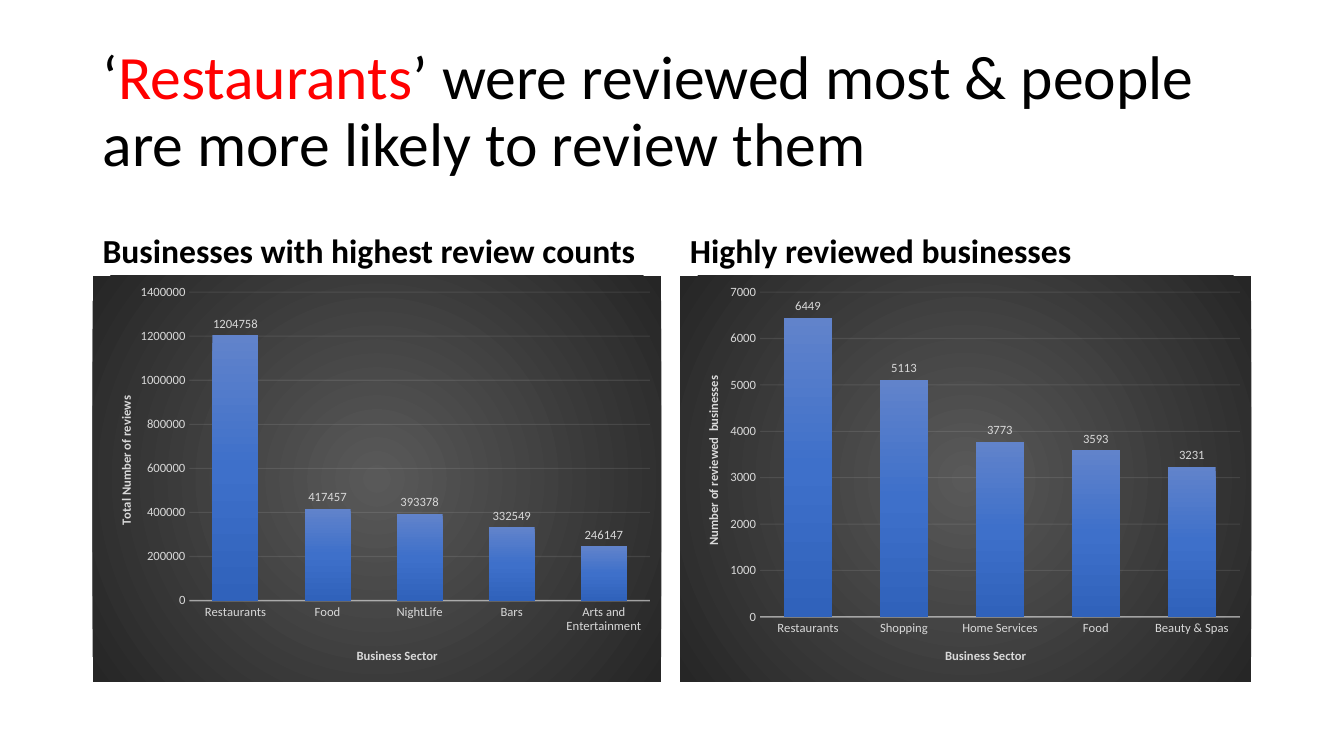
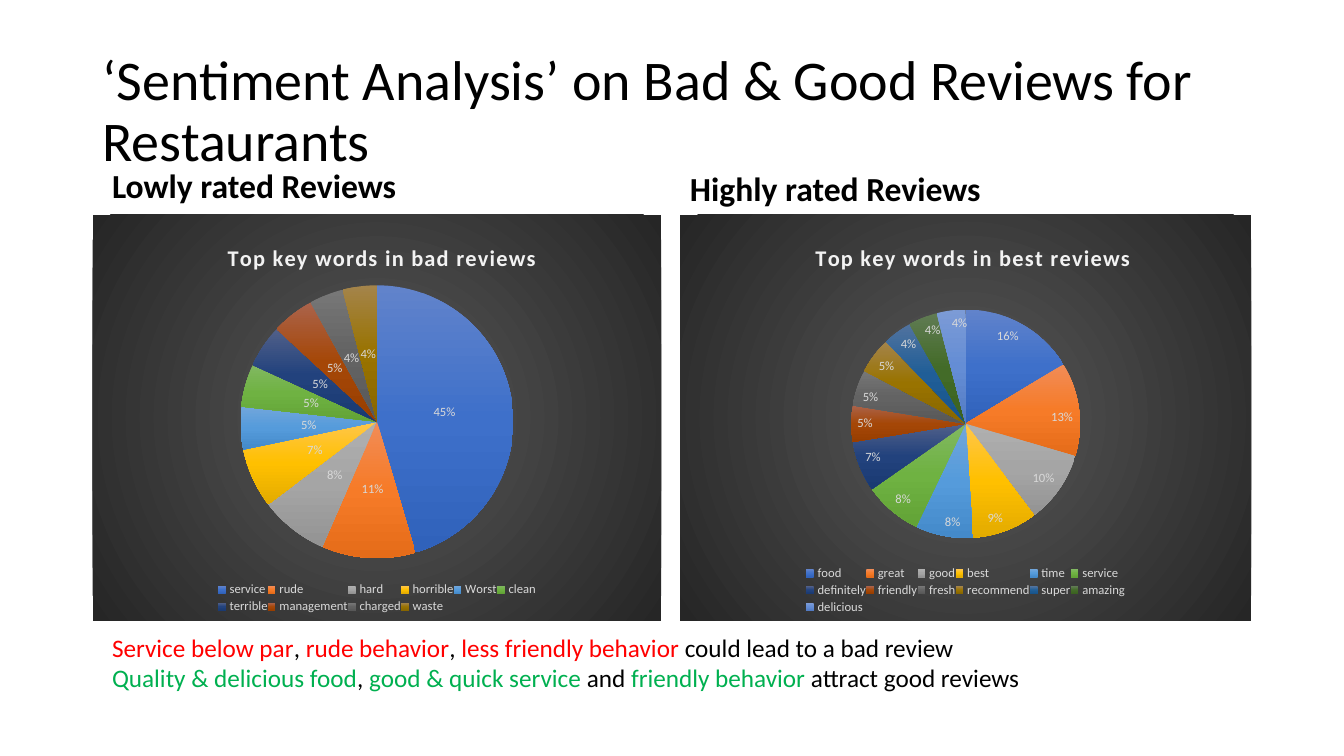
from dataclasses import dataclass

from lxml import etree
from pptx import Presentation
from pptx.chart.data import CategoryChartData
from pptx.dml.color import RGBColor
from pptx.enum.chart import XL_CHART_TYPE, XL_LABEL_POSITION, XL_LEGEND_POSITION, XL_TICK_MARK
from pptx.enum.text import MSO_ANCHOR
from pptx.oxml.ns import qn
from pptx.util import Inches, Pt

COLUMN, PIE = XL_CHART_TYPE.COLUMN_CLUSTERED, XL_CHART_TYPE.PIE
CENTER, INSIDE_END, OUTSIDE_END = XL_LABEL_POSITION.CENTER, XL_LABEL_POSITION.INSIDE_END, XL_LABEL_POSITION.OUTSIDE_END
LEGEND_BOTTOM, NO_TICK = XL_LEGEND_POSITION.BOTTOM, XL_TICK_MARK.NONE
TOP, MIDDLE, BOTTOM = MSO_ANCHOR.TOP, MSO_ANCHOR.MIDDLE, MSO_ANCHOR.BOTTOM


@dataclass(frozen=True)
class Theme:
    font: str = "Calibri"
    ink: str = "000000"
    bad: str = "FF0000"
    good: str = "00B050"
    chart_text: str = "D9D9D9"
    chart_line: str = "F2F2F2"
    heading_size: int = 24
    note_size: int = 18
    chart_title_size: int = 16
    chart_size: int = 9
    panel: tuple = ("595959", "262626")
    sectors: tuple = (
        ("6183CB", "3E70CA", "3062BB"),
        ("F18C57", "F67B28", "E56C19"),
        ("AFAFAF", "A5A5A5", "939393"),
        ("FFC64B", "FFC000", "E3AB00"),
        ("71A6DB", "559BDB", "448ACA"),
        ("81B861", "6FB242", "62A336"),
        ("516089", "22427D", "1A3A72"),
        ("AB634B", "A54707", "983E00"),
        ("777777", "636363", "585858"),
        ("A4844B", "997300", "886600"),
        ("51739F", "205E97", "17548B"),
        ("607B53", "436B28", "3B6220"),
        ("7C9BD6", "648DD5", "537BC3"),
    )


THEME = Theme()
CHART_FORMAT = {"name": THEME.font, "size": Pt(THEME.chart_size), "bold": False}
AXIS_TITLE_FORMAT = CHART_FORMAT | {"bold": True}
CHART_TITLE_FORMAT = AXIS_TITLE_FORMAT | {"size": Pt(THEME.chart_title_size)}

LEFT, RIGHT, INDENT = 6.9, 50.6, 7.6
LEFT_WIDTH, RIGHT_WIDTH, FULL_WIDTH = 42.3, 42.5, 86.3
TITLE_TOP, TITLE_HEIGHT, HEADING_HEIGHT, CHART_HEIGHT = 5.3, 19.3, 12, 53.7

SLIDES = [
    {
        "title": [("‘", THEME.ink), ("Restaurants", THEME.bad),
                  ("’ were reviewed most & people are more likely to review them", THEME.ink)],
        "title_size": 44,
        "chart_top": 36.5,
        "note": [],
        "panels": [
            {"heading": "Businesses with highest review counts", "heading_at": (LEFT, 24.5),
             "left": LEFT, "width": LEFT_WIDTH, "kind": COLUMN, "labels": OUTSIDE_END,
             "values": {"Restaurants": 1204758, "Food": 417457, "NightLife": 393378,
                        "Bars": 332549, "Arts and Entertainment": 246147},
             "measure": "Total Number of reviews", "step": 200000, "top": 1400000,
             "plot_box": (0.17, 0.04, 0.81, 0.76), "measure_box": (0.04, 0.29)},
            {"heading": "Highly reviewed businesses", "heading_at": (RIGHT, 24.5),
             "left": RIGHT, "width": RIGHT_WIDTH, "kind": COLUMN, "labels": OUTSIDE_END,
             "values": {"Restaurants": 6449, "Shopping": 5113, "Home Services": 3773,
                        "Food": 3593, "Beauty & Spas": 3231},
             "measure": "Number of reviewed  businesses", "step": 1000, "top": 7000,
             "plot_box": (0.14, 0.04, 0.84, 0.8), "measure_box": (0.04, 0.24)},
        ],
    },
    {
        "title": [("‘Sentiment Analysis’ on Bad & Good Reviews for Restaurants", THEME.ink)],
        "title_size": 40,
        "chart_top": 28.4,
        "note": [
            [("Service below par", THEME.bad), (", ", THEME.ink), ("rude behavior", THEME.bad),
             (", ", THEME.ink), ("less friendly behavior", THEME.bad),
             (" could lead to a bad review", THEME.ink)],
            [("Quality & delicious food", THEME.good), (", ", THEME.ink),
             ("good & quick service ", THEME.good), ("and ", THEME.ink),
             ("friendly behavior ", THEME.good), ("attract good reviews", THEME.ink)],
        ],
        "panels": [
            {"heading": "Lowly rated Reviews", "heading_at": (INDENT, 15.9),
             "left": LEFT, "width": LEFT_WIDTH, "kind": PIE, "labels": CENTER,
             "values": {"service": 45, "rude": 11, "hard": 8, "horrible": 7, "Worst": 5,
                        "clean": 5, "terrible": 5, "management": 5, "charged": 4, "waste": 4},
             "chart_title": "Top key words in bad reviews",
             "plot_box": (0.26, 0.17, 0.48, 0.68), "legend_box": (0.22, 0.9, 0.56, 0.09)},
            {"heading": "Highly rated Reviews", "heading_at": (RIGHT, 16.3),
             "left": RIGHT, "width": RIGHT_WIDTH, "kind": PIE, "labels": INSIDE_END,
             "values": {"food": 16, "great": 13, "good": 10, "best": 9, "time": 8, "service": 8,
                        "definitely": 7, "friendly": 5, "fresh": 5, "recommend": 5,
                        "super": 4, "amazing": 4, "delicious": 4},
             "chart_title": "Top key words in best reviews",
             "plot_box": (0.3, 0.23, 0.4, 0.57), "legend_box": (0.22, 0.86, 0.56, 0.13)},
        ],
    },
]

deck = Presentation()
deck.slide_width, deck.slide_height = Inches(13.33), Inches(7.5)


def place(left, top, width, height):
    across, down = deck.slide_width / 100, deck.slide_height / 100
    return int(left * across), int(top * down), int(width * across), int(height * down)


def write(slide, box, paragraphs, size, anchor, bold=False, spacing=0.9, before=0):
    frame = slide.shapes.add_textbox(*place(*box)).text_frame
    frame.word_wrap, frame.vertical_anchor = True, anchor
    for index, pieces in enumerate(paragraphs):
        paragraph = frame.paragraphs[0] if index == 0 else frame.add_paragraph()
        paragraph.line_spacing, paragraph.space_before = spacing, Pt(before)
        for text, color in pieces:
            run = paragraph.add_run()
            run.text = text
            for name, value in {"name": THEME.font, "size": Pt(size), "bold": bold}.items():
                setattr(run.font, name, value)
            run.font.color.rgb = RGBColor.from_string(color)


for content in SLIDES:
    slide = deck.slides.add_slide(deck.slide_layouts[6])
    write(slide, (LEFT, TITLE_TOP, FULL_WIDTH, TITLE_HEIGHT), [content["title"]],
          content["title_size"], MIDDLE)
    if content["note"]:
        write(slide, (INDENT, 83, FULL_WIDTH, 13.5), content["note"], THEME.note_size, TOP, spacing=1.0)

    for panel in content["panels"]:
        write(slide, (*panel["heading_at"], panel["width"], HEADING_HEIGHT),
              [[(panel["heading"], THEME.ink)]], THEME.heading_size, BOTTOM, bold=True, before=10)
        is_pie = panel["kind"] == PIE
        data = CategoryChartData()
        data.categories = list(panel["values"])
        data.add_series("Series 1", list(panel["values"].values()))
        box = place(panel["left"], content["chart_top"], panel["width"], CHART_HEIGHT)
        chart = slide.shapes.add_chart(panel["kind"], *box, data).chart
        plot = chart.plots[0]
        plot.vary_by_categories = is_pie
        plot.has_data_labels = True
        labels = plot.data_labels
        for name, value in {"show_value": not is_pie, "show_percentage": is_pie,
                            "position": panel["labels"], "number_format_is_linked": False,
                            "number_format": "0%" if is_pie else "General"}.items():
            setattr(labels, name, value)
        chart.has_title, chart.has_legend = is_pie, is_pie
        fonts = [(chart.font, CHART_FORMAT, THEME.chart_text), (labels.font, CHART_FORMAT, THEME.chart_text)]
        layouts = [(chart._chartSpace.find(".//" + qn("c:plotArea")), panel["plot_box"])]
        titles = []

        if is_pie:
            titles.append((chart.chart_title, panel["chart_title"], CHART_TITLE_FORMAT,
                           THEME.chart_line, (0.23, 0.06)))
            legend = chart.legend
            legend.position, legend.include_in_layout = LEGEND_BOTTOM, False
            fonts.append((legend.font, CHART_FORMAT, THEME.chart_text))
            layouts.append((legend._element, panel["legend_box"]))
        else:
            plot.gap_width, plot.overlap = 100, -24
            sector_axis, measure_axis = chart.category_axis, chart.value_axis
            for name, value in {"minimum_scale": 0, "maximum_scale": panel["top"],
                                "major_unit": panel["step"], "has_major_gridlines": True}.items():
                setattr(measure_axis, name, value)
            measure_axis.format.line.fill.background()
            for axis, text, corner in ((sector_axis, "Business Sector", (0.46, 0.91)),
                                       (measure_axis, panel["measure"], panel["measure_box"])):
                axis.major_tick_mark = axis.minor_tick_mark = NO_TICK
                fonts.append((axis.tick_labels.font, CHART_FORMAT, THEME.chart_text))
                titles.append((axis.axis_title, text, AXIS_TITLE_FORMAT, THEME.chart_text, corner))
            measure_axis.axis_title.text_frame._txBody.bodyPr.set("rot", "-5400000")
            for line, owner, weight, opacity in (
                (sector_axis.format.line, sector_axis._element.find(qn("c:spPr")), 1, 54),
                (measure_axis.major_gridlines.format.line,
                 measure_axis._element.find(qn("c:majorGridlines")), 0.75, 10),
            ):
                line.width = Pt(weight)
                line.color.rgb = RGBColor.from_string(THEME.chart_line)
                tint = owner.find(".//" + qn("a:srgbClr"))
                etree.SubElement(tint, qn("a:alpha")).set("val", str(opacity * 1000))

        for title, text, formats, color, corner in titles:
            run = title.text_frame.paragraphs[0].add_run()
            run.text = text
            if is_pie:
                run.font._element.set("spc", "100")
            fonts.append((run.font, formats, color))
            layouts.append((title._element, corner))
        for font, formats, color in fonts:
            for name, value in formats.items():
                setattr(font, name, value)
            font.color.rgb = RGBColor.from_string(color)

        for owner, shares in layouts:
            for old in owner.findall(qn("c:layout")):
                owner.remove(old)
            layout = etree.Element(qn("c:layout"))
            manual = etree.SubElement(layout, qn("c:manualLayout"))
            if owner.tag == qn("c:plotArea"):
                etree.SubElement(manual, qn("c:layoutTarget")).set("val", "inner")
            for mode in ("xMode", "yMode"):
                etree.SubElement(manual, qn("c:" + mode)).set("val", "edge")
            for side, share in zip("xywh", shares):
                etree.SubElement(manual, qn("c:" + side)).set("val", str(share))
            leaders = [child for child in owner if child.tag in (qn("c:tx"), qn("c:legendPos"))]
            owner.insert(owner.index(leaders[0]) + 1 if leaders else 0, layout)

        series = plot.series[0]
        for index in range(len(panel["values"])):
            look = series.points[index].format
            look.fill.solid()
            look.line.fill.background()
        space = chart._chartSpace
        backdrop = etree.Element(qn("c:spPr"))
        etree.SubElement(backdrop, qn("a:solidFill"))
        etree.SubElement(etree.SubElement(backdrop, qn("a:ln")), qn("a:noFill"))
        space.find(qn("c:txPr")).addprevious(backdrop)
        if space.find(qn("c:roundedCorners")) is None:
            square = etree.Element(qn("c:roundedCorners"))
            square.set("val", "0")
            space.find(qn("c:chart")).addprevious(square)

        surfaces = [(backdrop, THEME.panel)]
        for index, point in enumerate(series._element.findall(qn("c:dPt"))):
            surfaces.append((point.find(qn("c:spPr")), THEME.sectors[index if is_pie else 0]))
        for surface, colors in surfaces:
            gradient = etree.Element(qn("a:gradFill"))
            stops = etree.SubElement(gradient, qn("a:gsLst"))
            for index, color in enumerate(colors):
                stop = etree.SubElement(stops, qn("a:gs"))
                stop.set("pos", str(100000 * index // (len(colors) - 1)))
                etree.SubElement(stop, qn("a:srgbClr")).set("val", color)
            if surface is backdrop:
                radial = etree.SubElement(gradient, qn("a:path"))
                radial.set("path", "circle")
                focus = etree.SubElement(radial, qn("a:fillToRect"))
                for side in "ltrb":
                    focus.set(side, "50000")
            else:
                etree.SubElement(gradient, qn("a:lin")).set("ang", "5400000")
            surface.replace(surface.find(qn("a:solidFill")), gradient)

deck.save("out.pptx")
